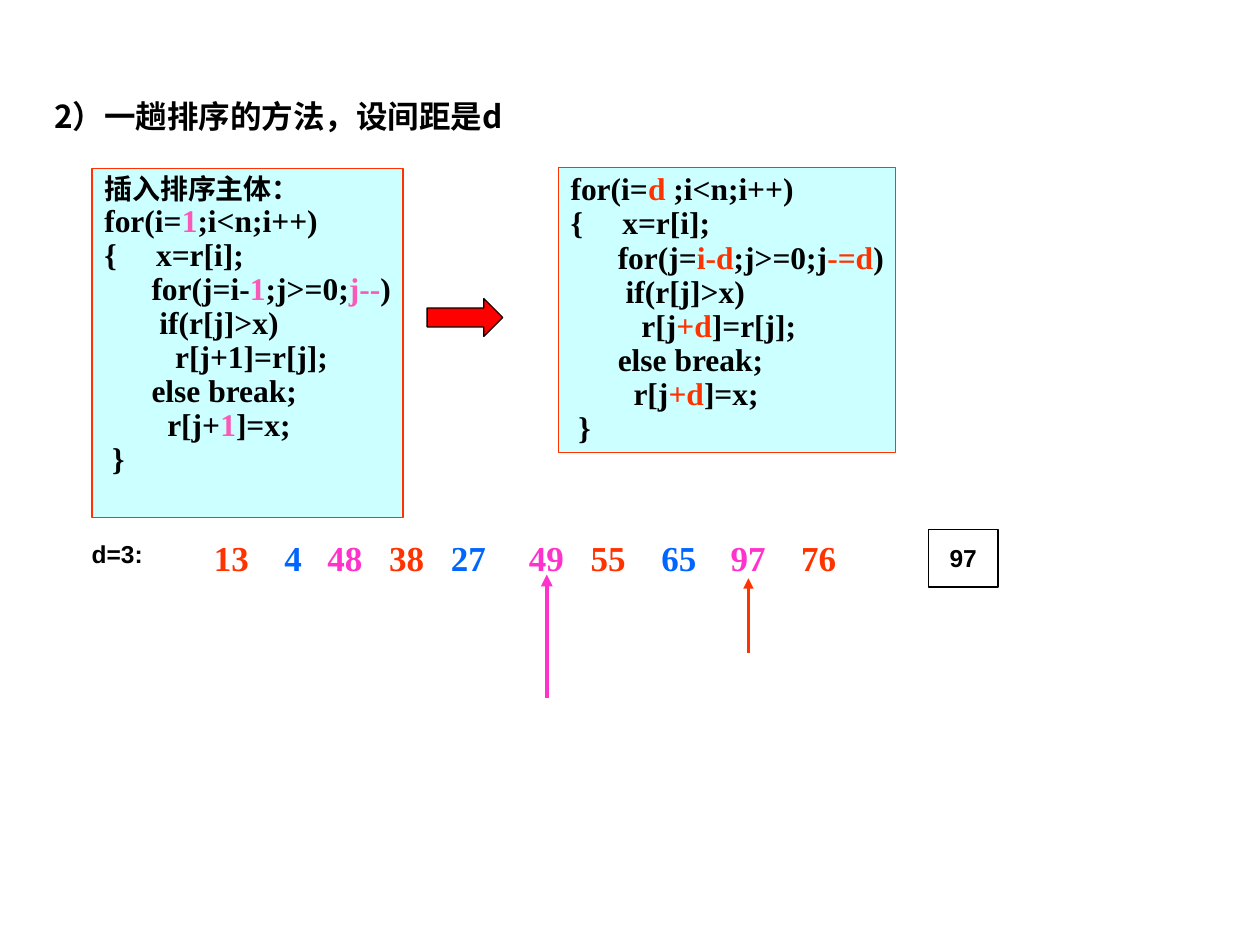
from dataclasses import dataclass
from lxml import etree
from pptx import Presentation, util as u
from pptx.dml.color import RGBColor as Rgb
from pptx.enum import shapes, text
from pptx.oxml.ns import qn


@dataclass(frozen=True)
class Theme:
    ink: str = "000000"
    paper: str = "FFFFFF"
    panel: str = "CCFFFF"
    red: str = "FF3300"
    blue: str = "0066FF"
    pink: str = "FF33CC"
    rose: str = "F95AB7"
    arrow: str = "FF0000"
    head: str = "Noto Sans CJK SC"
    code: str = "Times New Roman"
    label: str = "Arial"
    small: int = 14
    lead: int = 16
    body: int = 18
    large: int = 20


T = Theme()
COLS, ROWS = 100, 75
LEFT = [
    "插入排序主体：",
    "for(i=|1|;i<n;i++)",
    "{     x=r[i];",
    "      for(j=i-|1|;j>=0;|j--|)",
    "       if(r[j]>x)",
    "         r[j+1]=r[j];",
    "      else break;",
    "        r[j+|1|]=x;",
    " }",
]
RIGHT = [
    "for(i=|d| ;i<n;i++)",
    "{     x=r[i];",
    "      for(j=|i-d|;j>=0;j|-=d|)",
    "       if(r[j]>x)",
    "         r[j|+d|]=r[j];",
    "      else break;",
    "        r[j|+d|]=x;",
    " }",
]
NUMS = [13, 4, 48, 38, 27, 49, 55, 65, 97, 76]
STOPS = [5.6, 9.0, 13.9, 18.8, 25.0, 29.9, 35.5, 41.0, 46.6]


def cell(n):
    return u.Inches(n * 10 / COLS)


def within(box, x, y, w, h):
    return box[0] + x, box[1] + y, w, h


def style(par, size, name, color=T.ink):
    font = par.font
    font.size, font.name, font.bold = u.Pt(size), name, True
    font.color.rgb = Rgb.from_string(color)


def tint(par, words, color):
    run = par.add_run()
    run.text = words
    run.font.color.rgb = Rgb.from_string(color)


def block(slide, box, fill, line, kind=shapes.MSO_SHAPE.RECTANGLE):
    shape = slide.shapes.add_shape(kind, *map(cell, box))
    shape.shadow.inherit = False
    shape.fill.solid()
    shape.fill.fore_color.rgb = Rgb.from_string(fill)
    shape.line.color.rgb = Rgb.from_string(line)
    shape.line.width = u.Pt(0.75)
    return shape


def note(slide, box):
    frame = slide.shapes.add_textbox(*map(cell, box)).text_frame
    frame.word_wrap = True
    return frame.paragraphs[0]


def title(slide, box):
    shape = slide.shapes.title
    shape.left, shape.top, shape.width, shape.height = map(cell, box)
    frame = shape.text_frame
    frame.text = "2）一趟排序的方法，设间距是d"
    frame.word_wrap = True
    frame.auto_size = text.MSO_AUTO_SIZE.NONE
    frame.vertical_anchor = text.MSO_ANCHOR.TOP
    par = frame.paragraphs[0]
    par.alignment = text.PP_ALIGN.LEFT
    style(par, T.body, T.head)


def code(slide, box, lines, mark, lead=T.body):
    frame = block(slide, box, T.panel, T.red).text_frame
    frame.word_wrap = False
    frame.vertical_anchor = text.MSO_ANCHOR.TOP
    for row, line in enumerate(lines):
        par = frame.add_paragraph() if row else frame.paragraphs[0]
        par.alignment = text.PP_ALIGN.LEFT
        par.line_spacing = 0.9
        style(par, T.body if row else lead, T.code)
        for i, part in enumerate(line.split("|")):
            tint(par, part, mark if i % 2 else T.ink)


def arrow(slide, x, low, top, color, width):
    line = slide.shapes.add_connector(
        shapes.MSO_CONNECTOR.STRAIGHT, *map(cell, (x, low, x, top)))
    line.line.color.rgb = Rgb.from_string(color)
    line.line.width = u.Pt(width)
    etree.SubElement(line.line._get_or_add_ln(), qn("a:tailEnd"), type="triangle")
    etree.SubElement(line._element.spPr, qn("a:effectLst"))


def trace(slide, box):
    par = note(slide, within(box, 0, 0.3, 7, 3.4))
    par.text = "d=3:"
    style(par, T.small, T.label)

    par = note(slide, within(box, 9.7, 0.1, 52, 4.4))
    tabs = etree.SubElement(par._p.get_or_add_pPr(), qn("a:tabLst"))
    for stop in STOPS:
        etree.SubElement(tabs, qn("a:tab"), pos=str(cell(stop)), algn="l")
    style(par, T.large, T.code)
    hues = T.red, T.blue, T.pink
    for i, num in enumerate(NUMS):
        tint(par, f"\t{num}" if i else str(num), hues[i % len(hues)])

    x, y = box[:2]
    arrow(slide, x + 53.1, y + 9.8, y + 3.9, T.red, 1.5)
    arrow(slide, x + 37.1, y + 13.4, y + 3.6, T.pink, 2.25)

    frame = block(slide, within(box, 67.4, 0, 5.5, 4.6), T.paper, T.ink).text_frame
    frame.word_wrap = False
    frame.vertical_anchor = text.MSO_ANCHOR.MIDDLE
    par = frame.paragraphs[0]
    par.text = "97"
    par.alignment = text.PP_ALIGN.CENTER
    style(par, T.small, T.label)


def main():
    deck = Presentation()
    deck.slide_width, deck.slide_height = cell(COLS), cell(ROWS)
    slide = deck.slides.add_slide(deck.slide_layouts.get_by_name("Title Only"))
    title(slide, (3.3, 7.2, 38.7, 4))
    code(slide, (7.3, 13.4, 24.7, 27.7), LEFT, T.rose, T.lead)
    block(slide, (33.9, 23.7, 6, 3), T.arrow, T.ink, shapes.MSO_SHAPE.RIGHT_ARROW)
    code(slide, (44.3, 13.3, 26.8, 22.6), RIGHT, T.red)
    trace(slide, (6.3, 42, 72.9, 13.4))
    deck.save("out.pptx")


if __name__ == "__main__":
    main()
